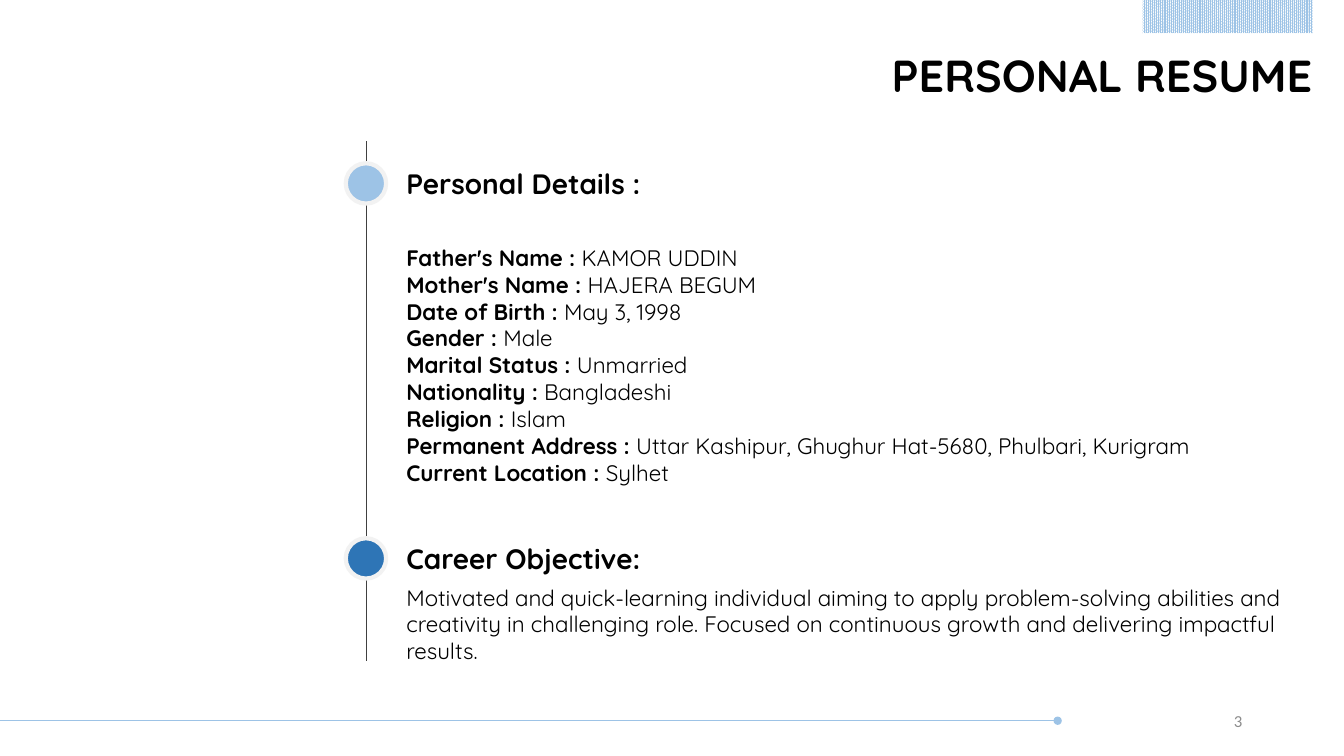
from lxml import etree
from pptx import Presentation
from pptx.dml.color import RGBColor
from pptx.enum import dml, shapes, text
from pptx.oxml import ns
from pptx.util import Inches, Pt

BLACK = RGBColor(0x00, 0x00, 0x00)
WHITE = RGBColor(0xFF, 0xFF, 0xFF)
GREY = RGBColor(0x8C, 0x8C, 0x8C)
DARK_GREY = RGBColor(0x40, 0x40, 0x40)
PALE_GREY = RGBColor(0xF2, 0xF2, 0xF2)
LIGHT_BLUE = RGBColor(0x9D, 0xC3, 0xE6)
DEEP_BLUE = RGBColor(0x2E, 0x75, 0xB6)

TIMELINE_X = 3.63
TEXT_X = 4.03
TEXT_WIDTH = 9.31
MARKER_SIZE = 0.4

DETAILS = [
    ("Father's Name", "KAMOR UDDIN"),
    ("Mother's Name", "HAJERA BEGUM"),
    ("Date of Birth", "May 3, 1998"),
    ("Gender", "Male"),
    ("Marital Status", "Unmarried"),
    ("Nationality", "Bangladeshi"),
    ("Religion", "Islam"),
    ("Permanent Address", "Uttar Kashipur, Ghughur Hat-5680, Phulbari, Kurigram"),
    ("Current Location", "Sylhet"),
]
OBJECTIVE = (
    "Motivated and quick-learning individual aiming to apply problem-solving "
    "abilities and creativity in challenging role. Focused on continuous growth "
    "and delivering impactful results."
)


def place(shape, left, top, width, height):
    shape.left, shape.top = Inches(left), Inches(top)
    shape.width, shape.height = Inches(width), Inches(height)


def set_frame(box, anchor=text.MSO_ANCHOR.TOP, inset=0):
    frame = box.text_frame
    frame.word_wrap = True
    frame.auto_size = text.MSO_AUTO_SIZE.NONE
    frame.vertical_anchor = anchor
    frame.margin_left = frame.margin_right = Inches(inset)
    frame.margin_top = frame.margin_bottom = Inches(inset / 2)
    return frame


def add_span(para, words, size=16, bold=False, color=BLACK, font="Quicksand"):
    span = para.add_run()
    span.text = words
    span.font.name = font
    span.font.size = Pt(size)
    span.font.bold = bold
    span.font.color.rgb = color


def add_text(page, words, left, top, width, height, anchor=text.MSO_ANCHOR.TOP,
             inset=0, align=text.PP_ALIGN.LEFT, **span_format):
    box = page.shapes.add_textbox(
        Inches(left), Inches(top), Inches(width), Inches(height))
    para = set_frame(box, anchor, inset).paragraphs[0]
    para.alignment = align
    add_span(para, words, **span_format)


def add_line(page, start, end, color, weight, tail=None):
    line = page.shapes.add_connector(
        shapes.MSO_CONNECTOR.STRAIGHT, *map(Inches, start + end))
    line.line.color.rgb = color
    line.line.width = Pt(weight)
    if tail:
        etree.SubElement(line.line._get_or_add_ln(), ns.qn("a:tailEnd"), type=tail)
    etree.SubElement(line._element.spPr, ns.qn("a:effectLst"))


def add_section(page, heading, center_y, color):
    """Add a round timeline marker with its heading to the right."""
    marker = page.shapes.add_shape(
        shapes.MSO_SHAPE.OVAL,
        Inches(TIMELINE_X - MARKER_SIZE / 2), Inches(center_y - MARKER_SIZE / 2),
        Inches(MARKER_SIZE), Inches(MARKER_SIZE))
    marker.shadow.inherit = False
    marker.fill.solid()
    marker.fill.fore_color.rgb = color
    marker.line.color.rgb = PALE_GREY
    marker.line.width = Pt(3)
    add_text(page, heading, TEXT_X, center_y - 0.17, 4.23, 0.34,
             anchor=text.MSO_ANCHOR.MIDDLE, size=20, bold=True)


def add_ribbon(page):
    ribbon = page.shapes.add_shape(
        shapes.MSO_SHAPE.RECTANGLE,
        Inches(11.33), Inches(0), Inches(1.69), Inches(0.33))
    ribbon.shadow.inherit = False
    ribbon.fill.patterned()
    ribbon.fill.pattern = dml.MSO_PATTERN.PERCENT_90
    ribbon.fill.fore_color.rgb = LIGHT_BLUE
    ribbon.fill.back_color.rgb = WHITE
    ribbon.line.fill.background()


def fill_title(title):
    place(title, 0.32, 0.47, 12.7, 0.54)
    para = set_frame(title, text.MSO_ANCHOR.MIDDLE).paragraphs[0]
    para.alignment = text.PP_ALIGN.RIGHT
    add_span(para, "PERSONAL RESUME", size=32, bold=True)


def fill_details(body):
    place(body, TEXT_X, 2.42, TEXT_WIDTH, 2.44)
    frame = set_frame(body)
    for index, (label, value) in enumerate(DETAILS):
        para = frame.add_paragraph() if index else frame.paragraphs[0]
        para.space_before = Pt(0)
        properties = para._p.get_or_add_pPr()
        properties.set("marL", "0")
        properties.set("indent", "0")
        etree.SubElement(properties, ns.qn("a:buNone"))
        add_span(para, f"{label} : ", bold=True)
        add_span(para, value)


def main():
    deck = Presentation()
    deck.slide_width, deck.slide_height = Inches(13.33), Inches(7.5)
    page = deck.slides.add_slide(deck.slide_layouts[1])
    fill_title(page.shapes.title)
    fill_details(page.placeholders[1])
    add_line(page, (TIMELINE_X, 1.4), (TIMELINE_X, 6.56), DARK_GREY, 0.5)
    add_section(page, "Personal Details :", 1.82, LIGHT_BLUE)
    add_section(page, "Career Objective:", 5.54, DEEP_BLUE)
    add_text(page, OBJECTIVE, TEXT_X, 5.79, TEXT_WIDTH, 0.81)
    add_ribbon(page)
    add_line(page, (0, 7.15), (10.49, 7.15), LIGHT_BLUE, 1, tail="oval")
    add_text(page, "3", 10.49, 6.95, 1.93, 0.4, anchor=text.MSO_ANCHOR.MIDDLE,
             inset=0.1, align=text.PP_ALIGN.RIGHT, size=12, color=GREY,
             font="Calibri")
    deck.save("out.pptx")


if __name__ == "__main__":
    main()
